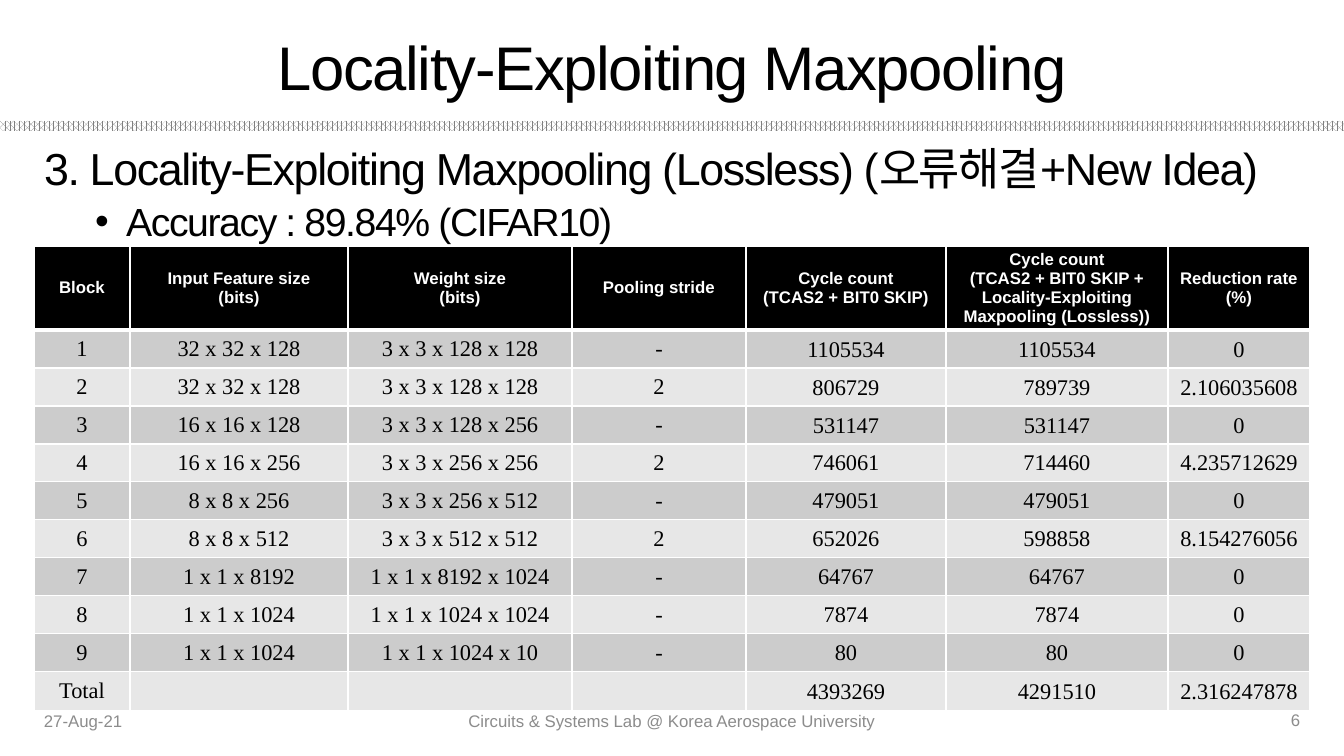
import pptx
import pptx.util
import pptx.dml.color
import pptx.enum.dml
import pptx.enum.shapes
import pptx.enum.text
import pptx.oxml.ns
import lxml.etree

SCALE = 12192000 / 1344  # EMU per pixel
BLACK = pptx.dml.color.RGBColor(0x00, 0x00, 0x00)
WHITE = pptx.dml.color.RGBColor(0xFF, 0xFF, 0xFF)
GREY = pptx.dml.color.RGBColor(0x80, 0x80, 0x80)
FOOTER_GREY = pptx.dml.color.RGBColor(0x8C, 0x8C, 0x8C)
BANDS = [pptx.dml.color.RGBColor(0xCC, 0xCC, 0xCC),
         pptx.dml.color.RGBColor(0xE7, 0xE7, 0xE7)]
ALIGN = pptx.enum.text.PP_ALIGN
MIDDLE = pptx.enum.text.MSO_ANCHOR.MIDDLE

COLUMNS = [96, 218, 224, 174, 200, 222, 142]
HEADER_HEIGHT, ROW_HEIGHT = 84, 38
HEADERS = ["Block", "Input Feature size\n(bits)", "Weight size\n(bits)",
           "Pooling stride", "Cycle count\n(TCAS2 + BIT0 SKIP)",
           "Cycle count\n(TCAS2 + BIT0 SKIP + Locality-Exploiting "
           "Maxpooling (Lossless))", "Reduction rate\n(%)"]
ROWS = [
    ["1", "32 x 32 x 128", "3 x 3 x 128 x 128", "-", "1105534", "1105534", "0"],
    ["2", "32 x 32 x 128", "3 x 3 x 128 x 128", "2", "806729", "789739", "2.106035608"],
    ["3", "16 x 16 x 128", "3 x 3 x 128 x 256", "-", "531147", "531147", "0"],
    ["4", "16 x 16 x 256", "3 x 3 x 256 x 256", "2", "746061", "714460", "4.235712629"],
    ["5", "8 x 8 x 256", "3 x 3 x 256 x 512", "-", "479051", "479051", "0"],
    ["6", "8 x 8 x 512", "3 x 3 x 512 x 512", "2", "652026", "598858", "8.154276056"],
    ["7", "1 x 1 x 8192", "1 x 1 x 8192 x 1024", "-", "64767", "64767", "0"],
    ["8", "1 x 1 x 1024", "1 x 1 x 1024 x 1024", "-", "7874", "7874", "0"],
    ["9", "1 x 1 x 1024", "1 x 1 x 1024 x 10", "-", "80", "80", "0"],
    ["Total", "", "", "", "4393269", "4291510", "2.316247878"],
]
FIRST_COUNT_COLUMN = 4


def px(n):
    return pptx.util.Emu(round(n * SCALE))


def place(sp, box):
    sp.left, sp.top, sp.width, sp.height = map(px, box)


def sub(parent, tag, **attrs):
    return lxml.etree.SubElement(parent, pptx.oxml.ns.qn(tag), attrs)


def format_runs(p, size, color, font="Arial", bold=False, spacing=None):
    for r in p.runs:
        r.font.size = pptx.util.Pt(size)
        r.font.name = font
        r.font.bold = bold
        r.font.color.rgb = color
        if spacing:
            r.font._element.set("spc", str(spacing))


def add_title(slide, box):
    sp = slide.shapes.title
    place(sp, box)
    tf = sp.text_frame
    tf.text = "Locality-Exploiting Maxpooling"
    tf.auto_size = pptx.enum.text.MSO_AUTO_SIZE.NONE
    tf.vertical_anchor = MIDDLE
    p = tf.paragraphs[0]
    p.alignment = ALIGN.CENTER
    format_runs(p, 44, BLACK, spacing=-100)


def add_divider(slide, box):
    sp = slide.shapes.add_shape(
        pptx.enum.shapes.MSO_SHAPE.RECTANGLE, *map(px, box))
    sp.shadow.inherit = False
    sp.line.fill.background()
    sp.fill.patterned()
    sp.fill.pattern = pptx.enum.dml.MSO_PATTERN.PERCENT_70
    sp.fill.fore_color.rgb = GREY
    sp.fill.back_color.rgb = WHITE


def add_body(slide, box):
    sp = slide.placeholders[1]
    place(sp, box)
    tf = sp.text_frame
    tf.text = ("3. Locality-Exploiting Maxpooling (Lossless) (오류해결+New Idea)\n"
               "Accuracy : 89.84% (CIFAR10)")
    tf.auto_size = pptx.enum.text.MSO_AUTO_SIZE.NONE
    # size, space before, left margin, hanging indent, bullet
    styles = [(32, 10, 0, 0, None), (28, 5, 82, -31, "•")]
    for level, (p, style) in enumerate(zip(tf.paragraphs, styles)):
        size, before, margin, indent, bullet = style
        p.level = level
        p.line_spacing = 0.9
        p.space_before = pptx.util.Pt(before)
        format_runs(p, size, BLACK, spacing=-100)
        pPr = p._p.get_or_add_pPr()
        pPr.set("marL", str(px(margin)))
        pPr.set("indent", str(px(indent)))
        if bullet:
            sub(pPr, "a:buFont", typeface="Arial")
            sub(pPr, "a:buChar", char=bullet)
        else:
            sub(pPr, "a:buNone")


def set_borders(cell, bottom):
    tcPr = cell._tc.get_or_add_tcPr()
    widths = {"a:lnL": 1, "a:lnR": 1, "a:lnT": 1, "a:lnB": bottom}
    for tag, width in widths.items():
        ln = sub(tcPr, tag, w=str(pptx.util.Pt(width)))
        sub(sub(ln, "a:solidFill"), "a:srgbClr", val=str(WHITE))


def fill_cell(cell, text, fill, bottom=1, **font):
    set_borders(cell, bottom)
    cell.fill.solid()
    cell.fill.fore_color.rgb = fill
    cell.vertical_anchor = MIDDLE
    cell.text = text
    for p in cell.text_frame.paragraphs:
        p.alignment = ALIGN.CENTER
        if not text:
            p.add_run()  # holds the row's text size in a blank cell
        format_runs(p, **font)


def add_results(slide, box):
    table = slide.shapes.add_table(
        len(ROWS) + 1, len(COLUMNS), *map(px, box)).table
    table.first_row = table.horz_banding = False
    for column, width in zip(table.columns, COLUMNS):
        column.width = px(width)
    for i, row in enumerate(table.rows):
        row.height = px(ROW_HEIGHT if i else HEADER_HEIGHT)

    # Header row, with low margins so that four lines fit
    for j, text in enumerate(HEADERS):
        cell = table.cell(0, j)
        fill_cell(cell, text, BLACK, bottom=3,
                  size=12, color=WHITE, bold=True)
        cell.margin_top = cell.margin_bottom = px(1)

    # Banded data rows, with narrow margins around the counts
    for i, values in enumerate(ROWS):
        for j, text in enumerate(values):
            cell = table.cell(i + 1, j)
            fill_cell(cell, text, BANDS[i % 2],
                      size=16, color=BLACK, font="Times New Roman")
            if j >= FIRST_COUNT_COLUMN:
                cell.margin_left = cell.margin_right = cell.margin_top = px(1)
                cell.margin_bottom = 0


def add_footer(slide, box):
    left, top, width, height = box
    parts = [
        ("27-Aug-21", 0, 0, 302, ALIGN.LEFT),
        ("Circuits & Systems Lab @ Korea Aerospace University",
         (width - 454) // 2, 0, 454, ALIGN.CENTER),
        ("6", width - 306, -1, 306, ALIGN.RIGHT),
    ]
    for text, dx, dy, w, align in parts:
        sp = slide.shapes.add_textbox(
            px(left + dx), px(top + dy), px(w), px(height))
        tf = sp.text_frame
        tf.word_wrap = True
        tf.vertical_anchor = MIDDLE
        tf.text = text
        p = tf.paragraphs[0]
        p.alignment = align
        format_runs(p, 12, FOOTER_GREY)


prs = pptx.Presentation()
prs.slide_width, prs.slide_height = px(1344), px(756)
slide = prs.slides.add_slide(prs.slide_layouts[1])
add_divider(slide, (0, 121, 1344, 10))
add_title(slide, (34, 22, 1276, 88))
add_body(slide, (34, 142, 1276, 540))
add_results(slide, (34, 246, 1276, 464))
add_footer(slide, (34, 701, 1276, 40))
prs.save("out.pptx")
